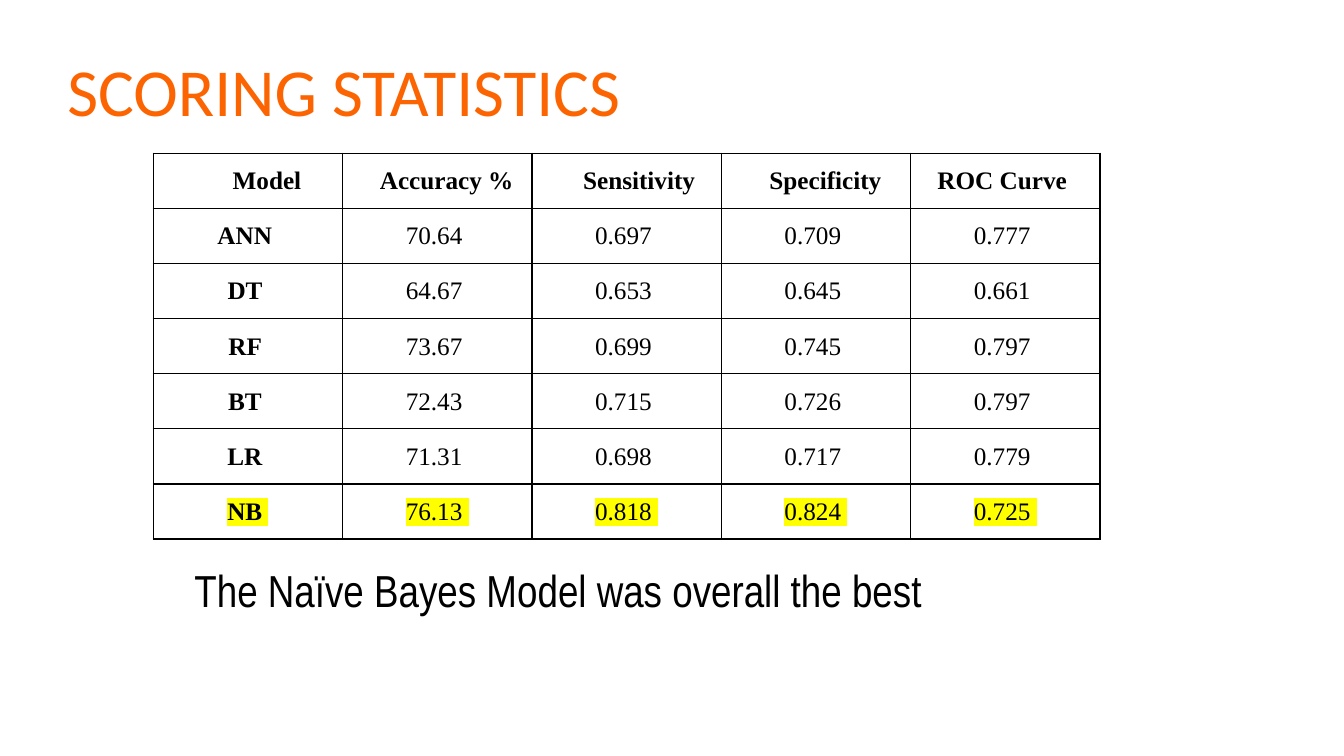
from lxml import etree
from pptx import Presentation
from pptx.dml.color import RGBColor
from pptx.enum.text import MSO_AUTO_SIZE, PP_ALIGN
from pptx.oxml.ns import qn
from pptx.util import Inches, Pt

CENTER = PP_ALIGN.CENTER
GROW = MSO_AUTO_SIZE.SHAPE_TO_FIT_TEXT

COLORS = {"title": "FB6400", "text": "000000", "border": "000000", "highlight": "FFFF00"}

TEXTS = [
    ("SCORING STATISTICS", (0.57, 0.44, 12.07, 0.91), "Calibri", 48, "title"),
    ("The Naïve Bayes Model was overall the best", (1.83, 5.53, 9.79, 0.64),
     "Arial Narrow", 32, "text"),
]
SCORES = [
    ["Model", "Accuracy %", "Sensitivity", "Specificity", "ROC Curve"],
    ["ANN", "70.64", "0.697", "0.709", "0.777"],
    ["DT", "64.67", "0.653", "0.645", "0.661"],
    ["RF", "73.67", "0.699", "0.745", "0.797"],
    ["BT", "72.43", "0.715", "0.726", "0.797"],
    ["LR", "71.31", "0.698", "0.717", "0.779"],
    ["NB", "76.13", "0.818", "0.824", "0.725"],
]
HEADER_INDENTS = [0.44, 0.25, 0.31, 0.25, 0]
BEST_MODEL = "NB"
TRAILING_SPACE = " "
TABLE_AT = (1.52, 1.52, 9.39, 3.83)


def style_font(font, name, size, color):
    font.name = name
    font.size = Pt(size)
    font.color.rgb = RGBColor.from_string(COLORS[color])


def add_color(parent, tag, color):
    element = etree.SubElement(parent, qn(tag))
    etree.SubElement(element, qn("a:srgbClr"), val=COLORS[color])
    return element


def add_borders(cell):
    properties = cell._tc.get_or_add_tcPr()
    for side in ("a:lnL", "a:lnR", "a:lnT", "a:lnB"):
        line = etree.SubElement(properties, qn(side), w=str(Pt(1)))
        add_color(line, "a:solidFill", "border")


def highlight(run):
    properties = run._r.get_or_add_rPr()
    mark = add_color(properties, "a:highlight", "highlight")
    properties.find(qn("a:solidFill")).addnext(mark)


def add_label(slide, text, place, font_name, size, color):
    frame = slide.shapes.add_textbox(*map(Inches, place)).text_frame
    frame.word_wrap = True
    frame.auto_size = GROW
    frame.text = text
    style_font(frame.paragraphs[0].runs[0].font, font_name, size, color)


def fill_cell(cell, text, bold, indent, marked):
    cell.margin_left = cell.margin_right = cell.margin_top = cell.margin_bottom = 0
    add_borders(cell)
    cell.fill.background()
    paragraph = cell.text_frame.paragraphs[0]
    paragraph.text = text + TRAILING_SPACE
    paragraph.alignment = CENTER
    paragraph.line_spacing = 1.5
    if indent:
        paragraph._p.get_or_add_pPr().set("marL", str(Inches(indent)))
    run = paragraph.runs[0]
    style_font(run.font, "Times New Roman", 18, "text")
    run.font.bold = bold
    if marked:
        highlight(run)


def add_scores(slide):
    left, top, width, height = map(Inches, TABLE_AT)
    row_count, column_count = len(SCORES), len(SCORES[0])
    table = slide.shapes.add_table(row_count, column_count, left, top, width, height).table
    table.first_row = False
    table.horz_banding = False
    for row_index, scores in enumerate(SCORES):
        is_header = row_index == 0
        for column_index, text in enumerate(scores):
            fill_cell(
                table.cell(row_index, column_index),
                text,
                is_header or column_index == 0,
                HEADER_INDENTS[column_index] if is_header else 0,
                scores[0] == BEST_MODEL,
            )


def main():
    presentation = Presentation()
    presentation.slide_width = Inches(13.33)
    presentation.slide_height = Inches(7.5)
    slide = presentation.slides.add_slide(presentation.slide_layouts[6])
    title, conclusion = TEXTS
    add_label(slide, *title)
    add_scores(slide)
    add_label(slide, *conclusion)
    presentation.save("out.pptx")


if __name__ == "__main__":
    main()
